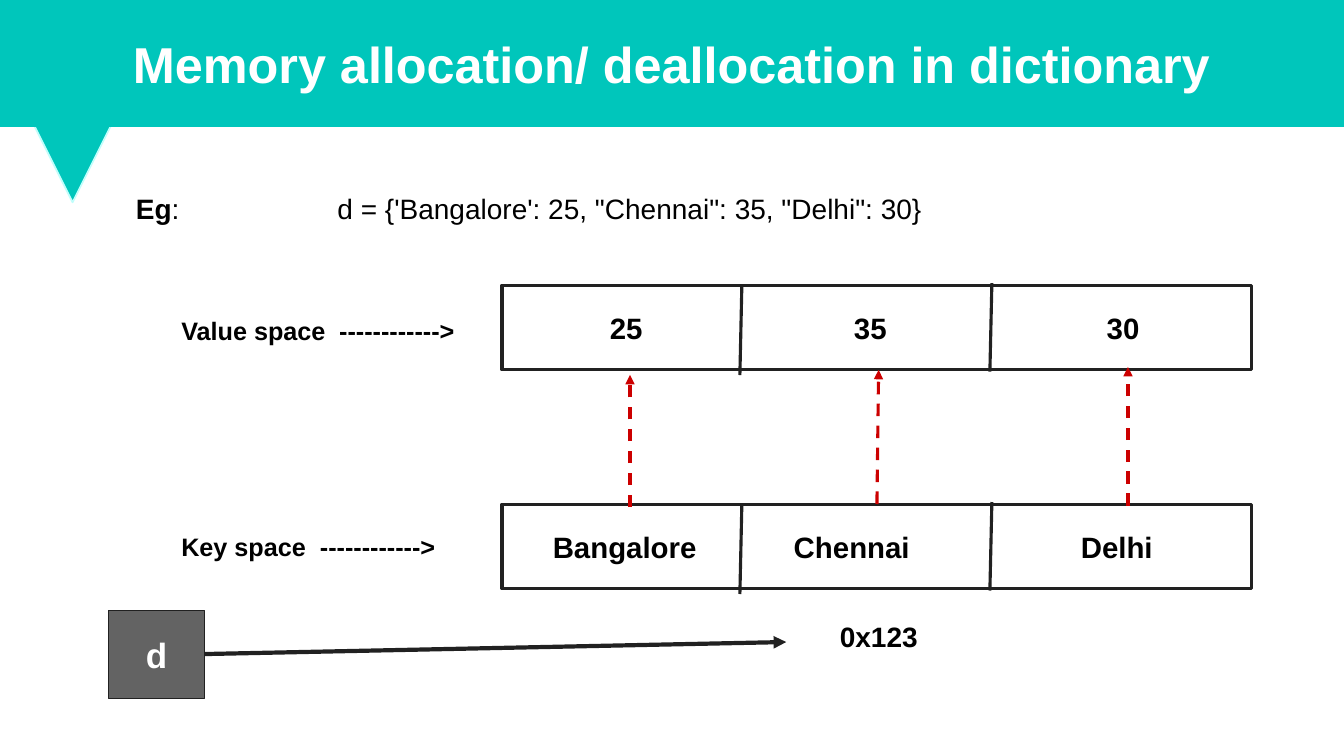
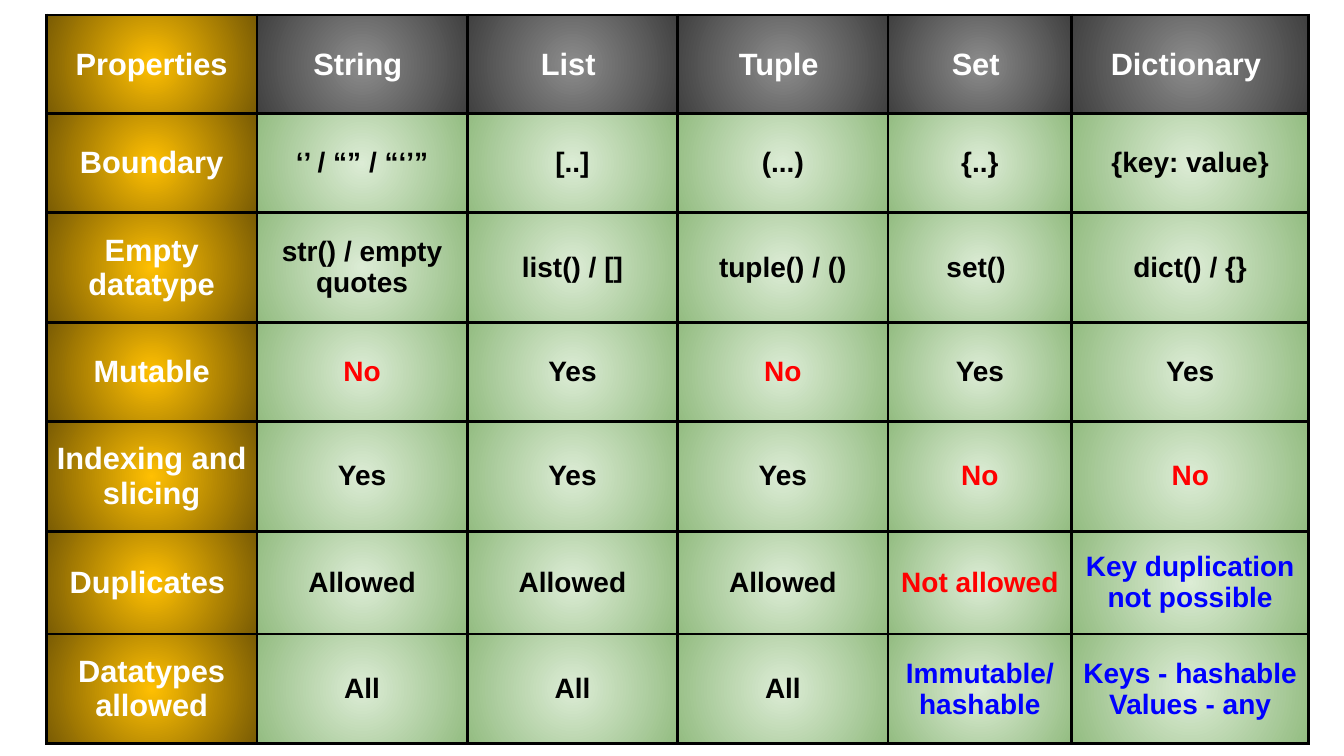
"""Build two slides on Python dictionary memory and collection properties."""
from dataclasses import dataclass
from typing import Any, Optional

from lxml import etree
from pptx import Presentation
from pptx import util as u
from pptx.dml.color import RGBColor
from pptx.enum import dml, shapes, text
from pptx.oxml import ns

FONT = "Arial"
TEAL, PALE_TEAL = "00C6BB", "C0FEFB"
WHITE, BLACK, INK, GREY = "FFFFFF", "000000", "212121", "636363"
RED, BLUE, CRIMSON = "FF0000", "0000FF", "CC0000"
GOLD_GLOW = ("FFC002", "795B04")
GREY_GLOW = ("8C8C8C", "404040")
GREEN_GLOW = ("DCECD5", "93BC81")

INSETS = {f"margin_{side}": u.Pt(7.2) for side in ("left", "top", "right", "bottom")}
MIDDLE = {"vertical_anchor": text.MSO_ANCHOR.MIDDLE}
CENTRED = {"alignment": text.PP_ALIGN.CENTER}

ROW_LEFT, ROW_WIDTH, ROW_HEIGHT = 358.6, 535.7, 60.5
VALUE_TOP, KEY_TOP = 203.7, 360.1


@dataclass(frozen=True)
class Box:
    """Position and size in points."""
    left: float
    top: float
    width: float
    height: float

    def lengths(self) -> list[u.Length]:
        """Return the four measures as lengths."""
        return [u.Pt(n) for n in (self.left, self.top, self.width, self.height)]


@dataclass(frozen=True)
class Label:
    """Text box with an optional tab stop."""
    words: str
    box: Box
    size: float
    tab: Optional[float] = None


@dataclass(frozen=True)
class MemoryRow:
    """Row of three cells, with the centre of each entry."""
    entries: tuple[str, ...]
    top: float
    centres: tuple[float, ...]


@dataclass(frozen=True)
class Link:
    """Straight line between two points."""
    start: tuple[float, float]
    end: tuple[float, float]
    colour: str = INK
    width: float = 2.25
    dashed: bool = False
    arrow: bool = False


LABELS = (
    Label("Value space\t------------>", Box(122.4, 218.2, 212.4, 36), 18, 112.8),
    Label("Key space\t------------>", Box(122.4, 372.2, 212.4, 36), 18, 99),
    Label("0x123", Box(592.8, 435.6, 100, 38.9), 20),
)
MEMORY_ROWS = (
    MemoryRow(("Bangalore", "Chennai", "Delhi"), KEY_TOP, (80.5, 242.7, 432)),
    MemoryRow(("25", "35", "30"), VALUE_TOP, (81.6, 256, 436.5)),
)
LINKS = (
    Link((146.2, 467.2), (561.6, 458.6), width=3, arrow=True),
    Link((450, 362.2), (450, 267.8), CRIMSON, dashed=True, arrow=True),
    Link((805.7, 361.4), (805.7, 262.1), CRIMSON, dashed=True, arrow=True),
    Link((626.4, 360), (627.6, 264.2), CRIMSON, dashed=True, arrow=True),
)

COLUMN_WIDTHS = (150.3, 150.3, 150.3, 150.3, 131.2, 169.2)
ROW_HEIGHTS = (70.6, 70.6, 78.5, 70.6, 78.5, 73.4, 78.5)
PROPERTIES = (
    ("Properties", "String ", "List ", "Tuple ", "Set ", "Dictionary "),
    ("Boundary", "‘’ / “” / “‘’”", "[..]", "(...)", "{..}", "{key: value}"),
    ("Empty datatype", "str() / empty quotes", "list() / []", "tuple() / ()", "set() ", "dict() / {}"),
    ("Mutable", "No", "Yes", "No", "Yes", "Yes"),
    ("Indexing and slicing", "Yes", "Yes", "Yes", "No", "No"),
    ("Duplicates ", "Allowed", "Allowed", "Allowed", "Not allowed", "Key duplication not possible"),
    ("Datatypes allowed", "All", "All", "All", "Immutable/ hashable", "Keys - hashable\nValues - any"),
)
ANSWER_COLOURS = {
    "No": RED,
    "Not allowed": RED,
    "Key duplication not possible": BLUE,
    "Immutable/ hashable": BLUE,
    "Keys - hashable\nValues - any": BLUE,
}


def apply(target: Any, values: dict[str, Any]) -> None:
    """Set every format value on the target."""
    for key, value in values.items():
        setattr(target, key, value)


def paint(fill: Any, colour: str) -> None:
    """Make a fill solid in a hex colour."""
    fill.solid()
    fill.fore_color.rgb = RGBColor.from_string(colour)


def outline(line: Any, colour: str, width: float) -> None:
    """Give a line its colour and width."""
    paint(line.fill, colour)
    line.width = u.Pt(width)


def child(parent: Any, tag: str, **attributes: Any) -> Any:
    """Append a drawing element."""
    return etree.SubElement(parent, ns.qn(f"a:{tag}"), {k: str(v) for k, v in attributes.items()})


def add_run(paragraph: Any, words: str, size: float, colour: str, bold: bool = True) -> None:
    """Append a formatted run."""
    run = paragraph.add_run()
    run.text = words
    apply(run.font, {"name": FONT, "size": u.Pt(size), "bold": bold})
    paint(run.font.fill, colour)


def add_tabs(paragraph: Any, stops: tuple[float, ...], align: str) -> None:
    """Add tab stops to a paragraph."""
    tabs = child(paragraph._p.get_or_add_pPr(), "tabLst")
    for stop in stops:
        child(tabs, "tab", pos=int(u.Pt(stop)), algn=align)


def add_block(slide: Any, kind: shapes.MSO_SHAPE, box: Box, fill: str, edge: str, width: float) -> Any:
    """Draw a filled and outlined preset shape."""
    block = slide.shapes.add_shape(kind, *box.lengths())
    block.shadow.inherit = False
    paint(block.fill, fill)
    outline(block.line, edge, width)
    apply(block.text_frame, {**INSETS, **MIDDLE, "word_wrap": True})
    return block


def add_text_area(slide: Any, box: Box) -> Any:
    """Add a wrapping text box and return its first paragraph."""
    frame = slide.shapes.add_textbox(*box.lengths()).text_frame
    apply(frame, {**INSETS, "word_wrap": True})
    return frame.paragraphs[0]


def add_label(slide: Any, label: Label) -> None:
    """Draw a bold label."""
    paragraph = add_text_area(slide, label.box)
    if label.tab is not None:
        add_tabs(paragraph, (label.tab,), "l")
    add_run(paragraph, label.words, label.size, BLACK)


def add_link(slide: Any, link: Link) -> None:
    """Draw a line, dashed or with an arrowhead if asked."""
    ends = [u.Pt(n) for n in (*link.start, *link.end)]
    connector = slide.shapes.add_connector(shapes.MSO_CONNECTOR.STRAIGHT, *ends)
    outline(connector.line, link.colour, link.width)
    if link.dashed:
        connector.line.dash_style = dml.MSO_LINE.DASH
    properties = connector.element.spPr
    if link.arrow:
        child(properties.find(ns.qn("a:ln")), "tailEnd", type="triangle")
    child(properties, "effectLst")


def add_memory_row(slide: Any, row: MemoryRow) -> None:
    """Draw a row of entries with its two dividers."""
    box = Box(ROW_LEFT, row.top, ROW_WIDTH, ROW_HEIGHT)
    block = add_block(slide, shapes.MSO_SHAPE.RECTANGLE, box, WHITE, INK, 2.25)
    paragraph = block.text_frame.paragraphs[0]
    paragraph.alignment = text.PP_ALIGN.LEFT
    add_tabs(paragraph, row.centres, "ctr")
    add_run(paragraph, "\t" + "\t".join(row.entries), 21, BLACK)
    for x, shift in ((529.9, 1), (708.5, -1.5)):
        top = row.top + shift
        add_link(slide, Link((x, top), (x - 1.4, top + 63.2)))


def add_heading(slide: Any, words: str) -> None:
    """Turn the title into a band with a pointer behind it."""
    title = slide.shapes.title
    sides = ("left", "top", "width", "height")
    apply(title, dict(zip(sides, Box(0, 0, 960, 90).lengths())))
    paint(title.fill, TEAL)
    outline(title.line, TEAL, 1.25)
    apply(title.text_frame, {**INSETS, **MIDDLE, "word_wrap": True, "auto_size": text.MSO_AUTO_SIZE.NONE})
    paragraph = title.text_frame.paragraphs[0]
    apply(paragraph, CENTRED)
    add_run(paragraph, words, 36, WHITE)
    pointer = add_block(slide, shapes.MSO_SHAPE.ISOSCELES_TRIANGLE, Box(7.2, 55.2, 89.3, 89.3), TEAL, PALE_TEAL, 1.25)
    pointer.rotation = 180
    title.element.addprevious(pointer.element)


def add_memory_slide(deck: Any) -> None:
    """Build the slide on memory allocation."""
    slide = deck.slides.add_slide(deck.slide_layouts[5])
    add_heading(slide, "Memory allocation/ deallocation in dictionary")
    example = add_text_area(slide, Box(90, 105.8, 823.7, 38.9))
    example.line_spacing = 2.0
    add_tabs(example, (144,), "l")
    add_run(example, "Eg", 20, BLACK)
    add_run(example, ":\td = {'Bangalore': 25, \"Chennai\": 35, \"Delhi\": 30}", 20, BLACK, bold=False)
    for row in MEMORY_ROWS:
        add_memory_row(slide, row)
    variable = add_block(slide, shapes.MSO_SHAPE.RECTANGLE, Box(77.5, 435.9, 68.7, 63), GREY, INK, 0.75)
    apply(variable.text_frame.paragraphs[0], CENTRED)
    add_run(variable.text_frame.paragraphs[0], "d", 25, WHITE)
    for link in LINKS:
        add_link(slide, link)
    for label in LABELS:
        add_label(slide, label)


def style_cell(cell: Any, glow: tuple[str, str]) -> None:
    """Give a cell black borders and a radial gradient."""
    properties = cell._tc.get_or_add_tcPr()
    for side in ("lnL", "lnR", "lnT", "lnB"):
        border = child(properties, side, w=int(u.Pt(2.25)))
        child(child(border, "solidFill"), "srgbClr", val=BLACK)
    gradient = child(properties, "gradFill", rotWithShape=1)
    stops = child(gradient, "gsLst")
    for position, colour in zip((0, 100000), glow):
        child(child(stops, "gs", pos=position), "srgbClr", val=colour)
    centre = child(gradient, "path", path="circle")
    child(centre, "fillToRect", l=50000, t=50000, r=50000, b=50000)


def fill_cell(cell: Any, words: str, row: int, column: int) -> None:
    """Write and colour one property cell."""
    heading = row == 0 or column == 0
    glow = GOLD_GLOW if column == 0 else GREY_GLOW if row == 0 else GREEN_GLOW
    apply(cell, {**INSETS, **MIDDLE})
    style_cell(cell, glow)
    colour = WHITE if heading else ANSWER_COLOURS.get(words, BLACK)
    for index, line in enumerate(words.split("\n")):
        frame = cell.text_frame
        paragraph = frame.add_paragraph() if index else frame.paragraphs[0]
        apply(paragraph, CENTRED)
        add_run(paragraph, line, 22 if heading else 20, colour)


def add_properties_slide(deck: Any) -> None:
    """Build the slide comparing the collection types."""
    slide = deck.slides.add_slide(deck.slide_layouts[6])
    box = Box(33.2, 10.7, sum(COLUMN_WIDTHS), sum(ROW_HEIGHTS))
    table = slide.shapes.add_table(len(ROW_HEIGHTS), len(COLUMN_WIDTHS), *box.lengths()).table
    apply(table, {"first_row": False, "horz_banding": False})
    for column, width in zip(table.columns, COLUMN_WIDTHS):
        column.width = u.Pt(width)
    for row, height in zip(table.rows, ROW_HEIGHTS):
        row.height = u.Pt(height)
    for r, entries in enumerate(PROPERTIES):
        for c, words in enumerate(entries):
            fill_cell(table.cell(r, c), words, r, c)


def main() -> None:
    """Build and save the deck."""
    deck = Presentation()
    apply(deck, {"slide_width": u.Pt(960), "slide_height": u.Pt(540)})
    add_memory_slide(deck)
    add_properties_slide(deck)
    deck.save("out.pptx")


if __name__ == "__main__":
    main()
